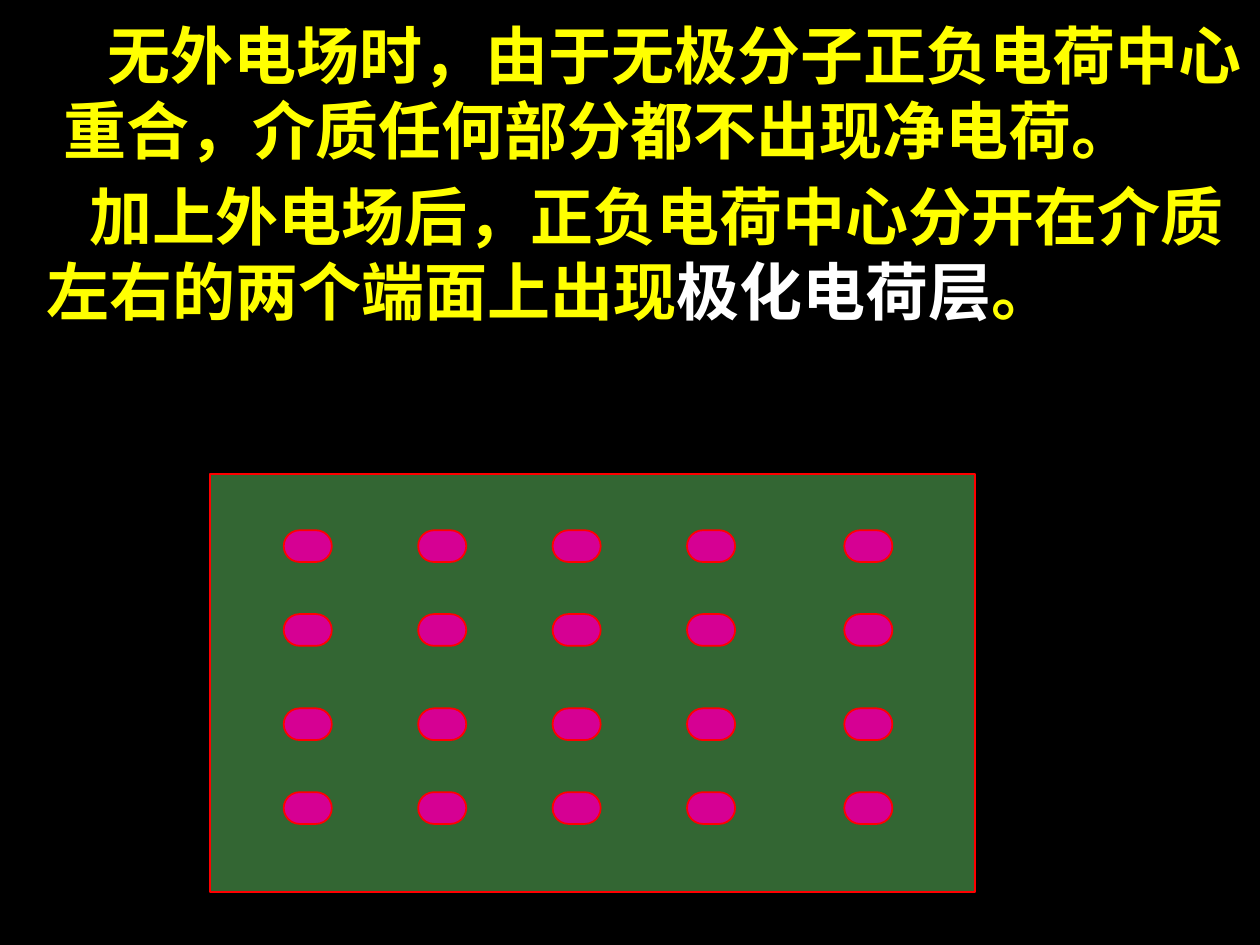
from dataclasses import dataclass
from itertools import product

from lxml.etree import SubElement
from pptx import Presentation
from pptx.dml.color import RGBColor as Color
from pptx.enum.shapes import MSO_AUTO_SHAPE_TYPE as Preset
from pptx.oxml.ns import qn
from pptx.util import Cm, Pt


@dataclass(frozen=True)
class Theme:
    background: str = "000000"
    text: str = "FFFF00"
    highlight: str = "FFFFFF"
    dielectric: str = "336633"
    molecule: str = "D60093"
    outline: str = "FF0000"
    font: str = "TeX Gyre Bonum"
    size: int = 36
    line: int = 1


THEME = Theme()

PASSAGES = [
    (1.04, 0.2, [
        [("无外电场时，由于无极分子正负电荷中心", THEME.text)],
        [("重合，介质任何部分都不出现净电荷。", THEME.text)],
    ]),
    (0.69, 3.45, [
        [("加上外电场后，正负电荷中心分开在介质", THEME.text)],
        [
            ("左右的两个端面上出现", THEME.text),
            ("极化电荷层", THEME.highlight),
            ("。", THEME.text),
        ],
    ]),
]
PASSAGE_SIZE = (24.36, 3.3)
FIRST_INDENT = 0.87

DIELECTRIC = (4.24, 9.55, 15.42, 8.43)
MOLECULE_SIZE = (0.97, 0.64)
COLUMNS = [5.72 + 2.71 * step for step in range(4)] + [17.02]
ROWS = [pair + offset for pair in (10.69, 14.28) for offset in (0, 1.69)]


def add_passage(page, left, top, lines):
    box = page.shapes.add_textbox(*map(Cm, (left, top, *PASSAGE_SIZE)))
    frame = box.text_frame
    frame.word_wrap = True
    for index, line in enumerate(lines):
        para = frame.add_paragraph() if index else frame.paragraphs[0]
        if index == 0:
            para._p.get_or_add_pPr().set("indent", str(Cm(FIRST_INDENT)))
        for text, color in line:
            span = para.add_run()
            span.text = text
            span.font.name = THEME.font
            span.font.size = Pt(THEME.size)
            span.font.bold = True
            span.font.color.rgb = Color.from_string(color)
            SubElement(span.font._element, qn("a:ea"), typeface=THEME.font)


def add_outlined(group, preset, bounds, fill):
    shape = group.shapes.add_shape(preset, *map(Cm, bounds))
    shape.shadow.inherit = False
    shape.fill.solid()
    shape.fill.fore_color.rgb = Color.from_string(fill)
    shape.line.color.rgb = Color.from_string(THEME.outline)
    shape.line.width = Pt(THEME.line)
    return shape


def main():
    deck = Presentation()
    deck.slide_width, deck.slide_height = Cm(25.4), Cm(19.05)
    page = deck.slides.add_slide(deck.slide_layouts[6])
    page.background.fill.solid()
    page.background.fill.fore_color.rgb = Color.from_string(THEME.background)

    group = page.shapes.add_group_shape()
    add_outlined(group, Preset.RECTANGLE, DIELECTRIC, THEME.dielectric)
    for top, left in product(ROWS, COLUMNS):
        molecule = add_outlined(group, Preset.ROUNDED_RECTANGLE,
                                (left, top, *MOLECULE_SIZE), THEME.molecule)
        molecule.adjustments[0] = 0.5

    for left, top, lines in PASSAGES:
        add_passage(page, left, top, lines)

    deck.save("out.pptx")


if __name__ == "__main__":
    main()
